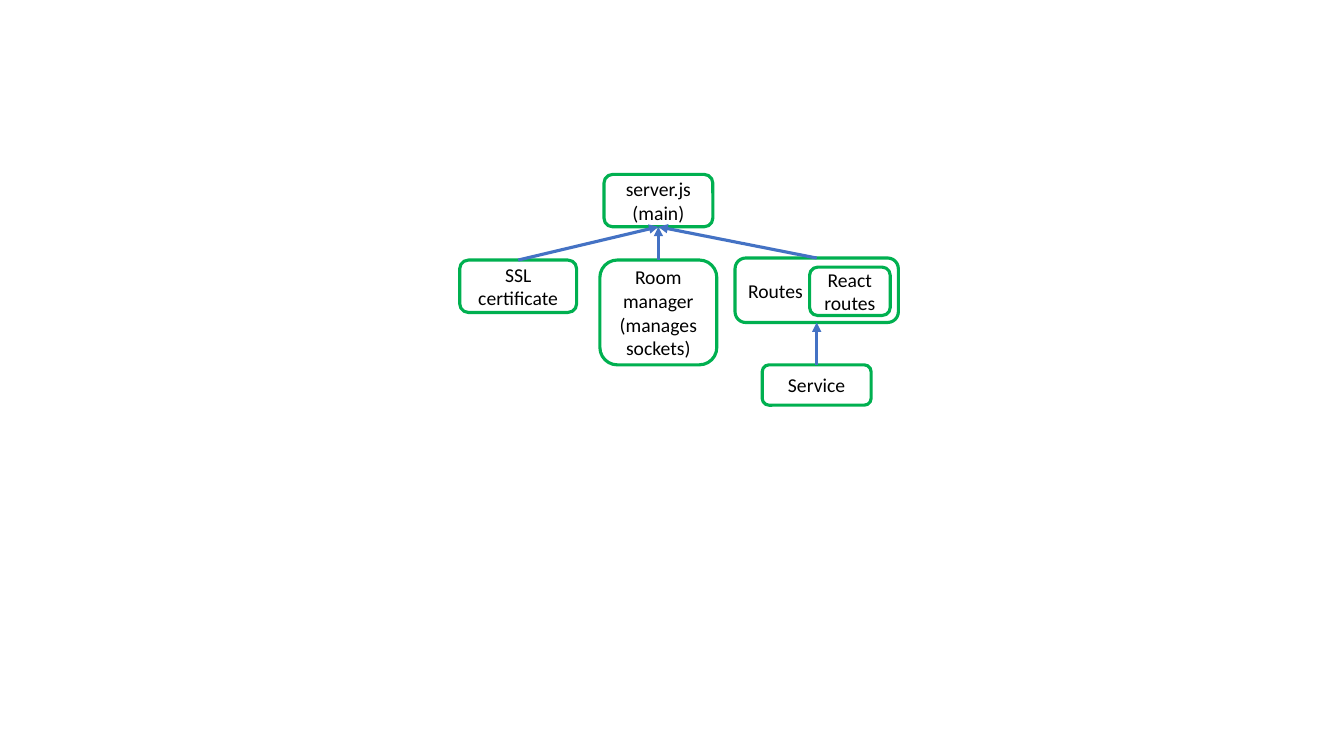
import pptx
import pptx.dml.color
import pptx.enum.shapes
import pptx.enum.text
import pptx.oxml.ns
import pptx.util
from lxml import etree

Inches = pptx.util.Inches
Align = pptx.enum.text.PP_ALIGN
GREEN = pptx.dml.color.RGBColor(0x00, 0xB0, 0x50)
BLUE = pptx.dml.color.RGBColor(0x44, 0x72, 0xC4)
BLACK = pptx.dml.color.RGBColor(0, 0, 0)
LINE_WIDTH = pptx.util.Pt(2.25)
TOP, BOTTOM = 0, 2  # connection sites of a rounded rectangle


def add_module(page, text, left, top, width, height, align=Align.CENTER):
    """Add an outlined rounded box; each line of text is a paragraph."""
    box = page.shapes.add_shape(
        pptx.enum.shapes.MSO_SHAPE.ROUNDED_RECTANGLE,
        Inches(left), Inches(top), Inches(width), Inches(height))
    box.shadow.inherit = False
    box.fill.background()
    box.line.color.rgb = GREEN
    box.line.width = LINE_WIDTH
    frame = box.text_frame
    frame.word_wrap = True
    frame.vertical_anchor = pptx.enum.text.MSO_ANCHOR.MIDDLE
    frame.text = text
    for para in frame.paragraphs:
        para.alignment = align
        para.font.name = "Calibri"
        para.font.size = pptx.util.Pt(14)
        para.font.color.rgb = BLACK
    return box


def add_arrow(page, child, parent):
    """Join the top of the child to the bottom of its parent."""
    arrow = page.shapes.add_connector(
        pptx.enum.shapes.MSO_CONNECTOR.STRAIGHT, 0, 0, 0, 0)
    arrow.begin_connect(child, TOP)
    arrow.end_connect(parent, BOTTOM)
    arrow.line.color.rgb = BLUE
    arrow.line.width = LINE_WIDTH
    qn = pptx.oxml.ns.qn
    etree.SubElement(arrow.line._get_or_add_ln(), qn("a:tailEnd"), type="triangle")
    etree.SubElement(arrow._element.spPr, qn("a:effectLst"))


def main():
    deck = pptx.Presentation()
    deck.slide_width, deck.slide_height = Inches(13.33), Inches(7.5)
    page = deck.slides.add_slide(deck.slide_layouts[6])

    # Modules of the server
    server = add_module(page, "server.js\n(main)", 5.99, 1.73, 1.08, 0.52)
    routes = add_module(page, "Routes", 7.29, 2.56, 1.62, 0.64, Align.LEFT)
    service = add_module(page, "Service", 7.56, 3.62, 1.08, 0.4)
    add_module(page, "React routes", 8.03, 2.65, 0.8, 0.48)
    rooms = add_module(page, "Room manager\n(manages sockets)", 5.95, 2.58, 1.16, 1.04)
    certificate = add_module(page, "SSL certificate", 4.56, 2.58, 1.16, 0.52)

    # Arrows from each module to the one that uses it
    for child, parent in ((rooms, server), (certificate, server),
                          (service, routes), (routes, server)):
        add_arrow(page, child, parent)

    deck.save("out.pptx")


main()
